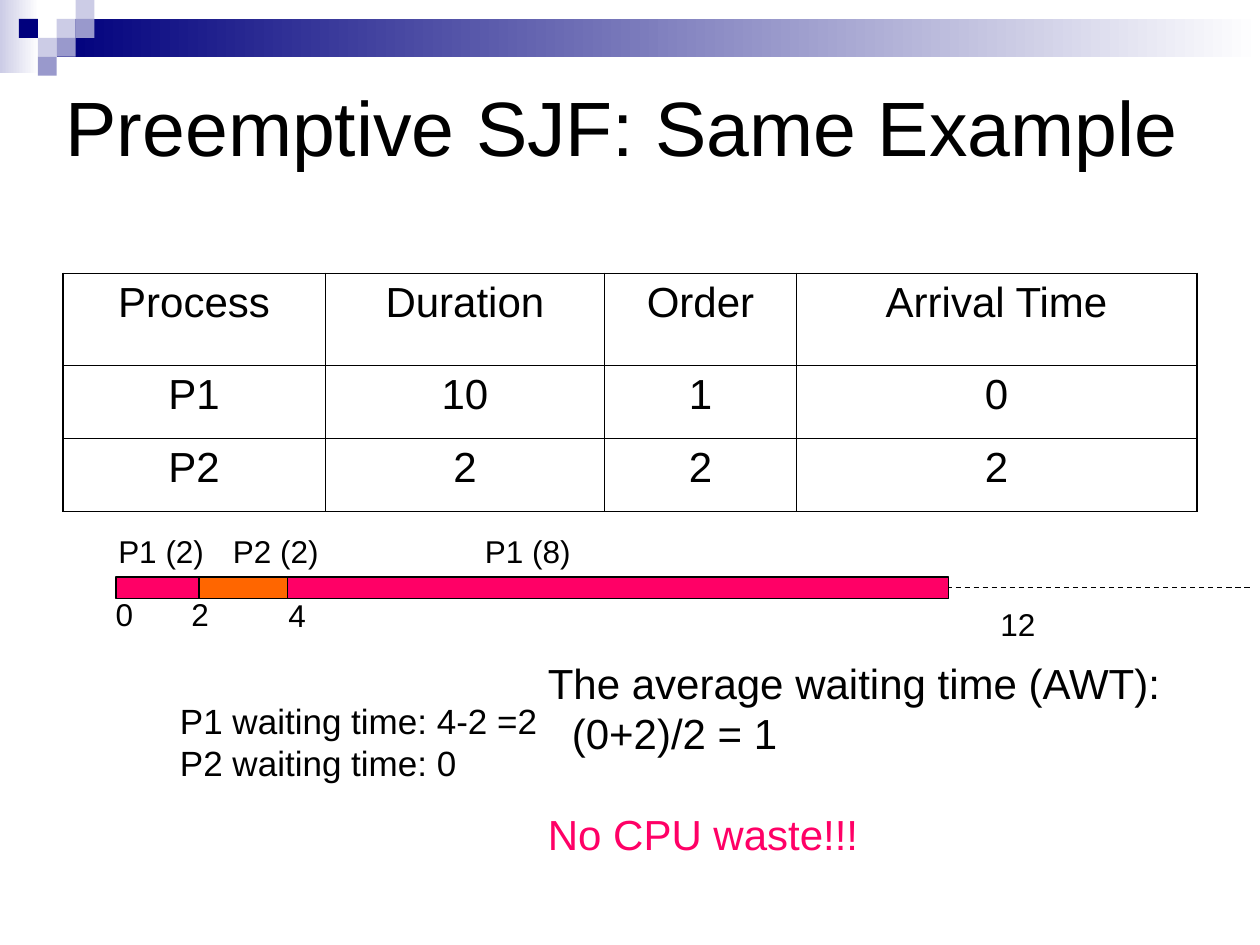
import pptx
import pptx.util
import pptx.oxml
from lxml import etree
from pptx.dml.color import RGBColor
from pptx.enum.dml import MSO_LINE
from pptx.enum.shapes import MSO_CONNECTOR, MSO_SHAPE
from pptx.enum.text import MSO_ANCHOR, MSO_AUTO_SIZE, PP_ALIGN
from pptx.oxml.ns import qn
from pptx.util import Inches, Pt

FONT = "Arial"
BLACK = RGBColor(0x00, 0x00, 0x00)
WHITE = RGBColor(0xFF, 0xFF, 0xFF)
NAVY = RGBColor(0x00, 0x00, 0x7D)
LAVENDER = RGBColor(0xCC, 0xCC, 0xE6)
PERIWINKLE = RGBColor(0x99, 0x99, 0xCC)
PINK = RGBColor(0xFF, 0x00, 0x66)
ORANGE = RGBColor(0xFF, 0x66, 0x00)

TITLE = "Preemptive SJF: Same Example"

# left, top, width, height, start colour of the fade to white
BANNERS = [(0, 0, 0.31, 0.58, LAVENDER), (0.45, 0.15, 9.55, 0.3, NAVY)]
# column, row, colour on the checker grid
CHECKER_SIZE = 0.15
CHECKERS = [
    (3, 1, LAVENDER), (4, 0, LAVENDER), (4, 1, PERIWINKLE), (2, 2, LAVENDER),
    (1, 1, NAVY), (3, 2, PERIWINKLE), (2, 3, PERIWINKLE),
]

PROCESS_ROWS = [
    ["Process", "Duration", "Order", "Arrival Time"],
    ["P1", "10", "1", "0"],
    ["P2", "2", "2", "2"],
]
COLUMN_WIDTHS = [2.08, 2.22, 1.52, 3.18]
ROW_HEIGHTS = [0.73, 0.58, 0.58]
OUTER_BORDER, INNER_BORDER = 1.08, 0.45

TIMELINE_LEFT, TIMELINE_RIGHT = 0.92, 9.92
BAR_TOP, BAR_HEIGHT = 4.58, 0.17
SEGMENTS = [(0.66, PINK), (0.7, ORANGE), (5.25, PINK)]  # width, colour

# left, top, width, height, size, paragraphs of (text, colour, indent, space before)
TEXTS = [
    (1.33, 5.5, 3.04, 0.77, 20, [
        ("P1 waiting time: 4-2 =2", BLACK, 0, 0),
        ("P2 waiting time: 0", BLACK, 0, 0),
    ]),
    (4.25, 5.17, 5.16, 1.7, 24, [
        ("The average waiting time (AWT):", BLACK, 0, 0),
        ("(0+2)/2 = 1", BLACK, 0.19, 0),
        ("No CPU waste!!!", PINK, 0, 28.8),
    ]),
]
# text, left, top, width
TIMELINE_LABELS = [
    ("P1 (2)", 0.84, 4.17, 0.88), ("P2 (2)", 1.75, 4.17, 0.88),
    ("P1 (8)", 3.75, 4.17, 0.88), ("0", 0.82, 4.67, 0.34),
    ("2", 1.42, 4.67, 0.34), ("4", 2.19, 4.68, 0.34), ("12", 7.84, 4.75, 0.48),
]


def format_runs(paragraph, size, colour):
    for run in paragraph.runs:
        run.font.name = FONT
        run.font.size = Pt(size)
        run.font.color.rgb = colour


def add_rectangle(slide, left, top, width, height, colour, outlined=False):
    shape = slide.shapes.add_shape(
        MSO_SHAPE.RECTANGLE, Inches(left), Inches(top), Inches(width), Inches(height))
    shape.shadow.inherit = False
    shape.fill.solid()
    shape.fill.fore_color.rgb = colour
    if outlined:
        shape.line.color.rgb = BLACK
        shape.line.width = Pt(0.75)
    else:
        shape.line.fill.background()
    return shape


def add_text(slide, left, top, width, height, size, paragraphs):
    box = slide.shapes.add_textbox(
        Inches(left), Inches(top), Inches(width), Inches(height))
    frame = box.text_frame
    frame.word_wrap = False
    frame.text = "\n".join(text for text, *_ in paragraphs)
    for paragraph, (_, colour, indent, space) in zip(frame.paragraphs, paragraphs):
        paragraph.line_spacing = Pt(size * 1.2)
        if space:
            paragraph.space_before = Pt(space)
        if indent:
            paragraph._p.get_or_add_pPr().set("marL", str(Inches(indent)))
        format_runs(paragraph, size, colour)


def set_borders(cell, widths):
    """Draw black borders; widths are points for left, right, top and bottom."""
    properties = cell._tc.get_or_add_tcPr()
    for index, (side, width) in enumerate(zip("LRTB", widths)):
        line = etree.Element(qn(f"a:ln{side}"), w=str(Pt(width)))
        fill = etree.SubElement(line, qn("a:solidFill"))
        etree.SubElement(fill, qn("a:srgbClr"), val=str(BLACK))
        properties.insert(index, line)


def add_banner(slide):
    for left, top, width, height, colour in BANNERS:
        fill = add_rectangle(slide, left, top, width, height, colour).fill
        fill.gradient()
        fill.gradient_angle = 0
        for stop, stop_colour, position in zip(fill.gradient_stops, (colour, WHITE), (0, 1)):
            stop.color.rgb = stop_colour
            stop.position = position
    for column, row, colour in CHECKERS:
        add_rectangle(slide, column * CHECKER_SIZE, row * CHECKER_SIZE,
                      CHECKER_SIZE, CHECKER_SIZE, colour)


def add_title(slide):
    title = slide.shapes.title
    title.left, title.top = Inches(0.42), Inches(0.58)
    title.width, title.height = Inches(9.25), Inches(0.83)
    frame = title.text_frame
    frame.text = TITLE
    frame.auto_size = MSO_AUTO_SIZE.NONE
    frame.vertical_anchor = MSO_ANCHOR.MIDDLE
    frame.paragraphs[0].alignment = PP_ALIGN.LEFT
    format_runs(frame.paragraphs[0], 44, BLACK)


def add_process_table(slide):
    row_count, column_count = len(PROCESS_ROWS), len(COLUMN_WIDTHS)
    table = slide.shapes.add_table(
        row_count, column_count, Inches(0.5), Inches(2.17),
        Inches(sum(COLUMN_WIDTHS)), Inches(sum(ROW_HEIGHTS))).table
    table.first_row = table.horz_banding = False
    for column, width in zip(table.columns, COLUMN_WIDTHS):
        column.width = Inches(width)
    for row, height in zip(table.rows, ROW_HEIGHTS):
        row.height = Inches(height)
    for r, values in enumerate(PROCESS_ROWS):
        for c, value in enumerate(values):
            cell = table.cell(r, c)
            cell.text = value
            cell.fill.background()
            paragraph = cell.text_frame.paragraphs[0]
            paragraph.alignment = PP_ALIGN.CENTER
            format_runs(paragraph, 24, BLACK)
            on_edge = (c == 0, c == column_count - 1, r == 0, r == row_count - 1)
            set_borders(cell, [OUTER_BORDER if edge else INNER_BORDER for edge in on_edge])


def add_timeline(slide):
    middle = Inches(BAR_TOP + BAR_HEIGHT / 2)
    axis = slide.shapes.add_connector(
        MSO_CONNECTOR.STRAIGHT, Inches(TIMELINE_LEFT), middle, Inches(TIMELINE_RIGHT), middle)
    axis.line.color.rgb = BLACK
    axis.line.width = Pt(0.75)
    axis.line.dash_style = MSO_LINE.DASH
    etree.SubElement(axis._element.spPr, qn("a:effectLst"))
    left = TIMELINE_LEFT
    for width, colour in SEGMENTS:
        add_rectangle(slide, left, BAR_TOP, width, BAR_HEIGHT, colour, outlined=True)
        left += width
    for text, left, top, width in TIMELINE_LABELS:
        add_text(slide, left, top, width, 0.4, 18, [(text, BLACK, 0, 0)])


def main():
    presentation = pptx.Presentation()
    presentation.slide_width, presentation.slide_height = Inches(10), Inches(7.5)
    slide = presentation.slides.add_slide(presentation.slide_layouts[5])
    add_banner(slide)
    add_title(slide)
    add_process_table(slide)
    for text in TEXTS:
        add_text(slide, *text)
    add_timeline(slide)
    presentation.save("out.pptx")


if __name__ == "__main__":
    main()
